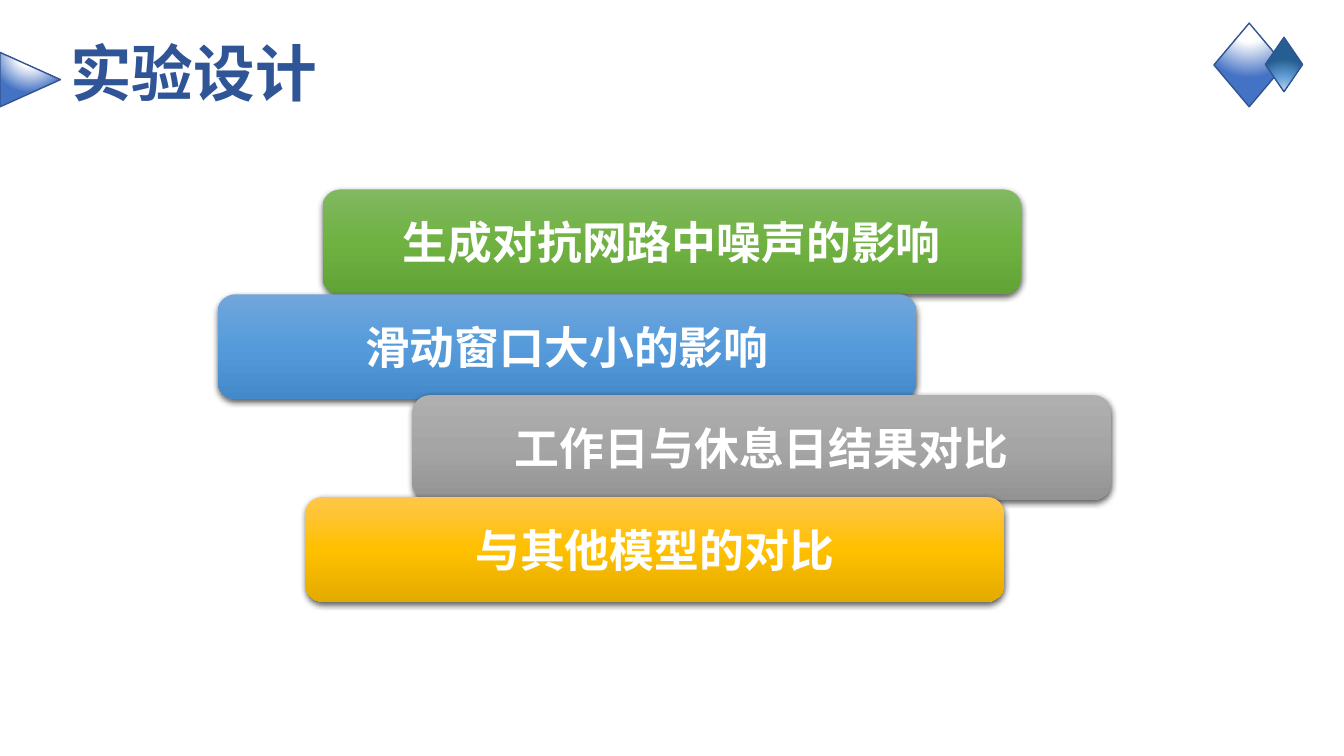
"""Build the experiment design slide with four staggered topic bars."""
from lxml import etree
from pptx import Presentation
from pptx.dml.color import RGBColor
from pptx.enum.shapes import MSO_SHAPE
from pptx.enum.text import MSO_ANCHOR, PP_ALIGN
from pptx.oxml import parse_xml
from pptx.oxml.ns import qn
from pptx.util import Inches, Pt

BAR = MSO_SHAPE.ROUNDED_RECTANGLE
TRIANGLE = MSO_SHAPE.ISOSCELES_TRIANGLE
DIAMOND = MSO_SHAPE.FLOWCHART_DECISION
MIDDLE = MSO_ANCHOR.MIDDLE
LEFT, CENTER = PP_ALIGN.LEFT, PP_ALIGN.CENTER
FONT = "Noto Sans CJK SC"
NS = 'xmlns:a="http://schemas.openxmlformats.org/drawingml/2006/main"'
LINEAR = '<a:lin ang="5400000" scaled="0"/>'
RADIAL = '<a:path path="circle"><a:fillToRect l="50000" t="{}" r="50000" b="{}"/></a:path>'


def write(holder, text, size, color, align=CENTER, spacing=None):
    frame = holder.text_frame
    frame.word_wrap = True
    frame.vertical_anchor = MIDDLE
    paragraph = frame.paragraphs[0]
    paragraph.alignment = align
    paragraph.line_spacing = spacing
    run = paragraph.add_run()
    run.text = text
    run.font.size = Pt(size)
    run.font.bold = True
    run.font.name = FONT
    run.font.color.rgb = RGBColor.from_string(color)
    etree.SubElement(run.font._element, qn("a:ea")).set("typeface", FONT)


def add_gradient_shape(kind, place, stops, direction, outline=None):
    shape = slide.shapes.add_shape(kind, *map(Inches, place))
    shape.shadow.inherit = False
    if outline:
        shape.line.color.rgb = RGBColor.from_string(outline)
        shape.line.width = Pt(1)
    else:
        shape.line.fill.background()
    colors = "".join(
        f'<a:gs pos="{position * 1000}"><a:srgbClr val="{color}"/></a:gs>'
        for position, color in stops
    )
    gradient = f'<a:gradFill {NS} rotWithShape="1"><a:gsLst>{colors}</a:gsLst>{direction}</a:gradFill>'
    shape._element.spPr.find(qn("a:prstGeom")).addnext(parse_xml(gradient))
    return shape


prs = Presentation()
prs.slide_width = Inches(13.33)
prs.slide_height = Inches(7.5)
slide = prs.slides.add_slide(prs.slide_layouts[6])

topics = [
    ("生成对抗网路中噪声的影响", 3.2, 1.88, ("81B861", "6FB242", "62A336")),
    ("滑动窗口大小的影响", 2.16, 2.92, ("71A6DB", "559BDB", "448ACA")),
    ("工作日与休息日结果对比", 4.09, 3.92, ("AFAFAF", "A5A5A5", "939393")),
    ("与其他模型的对比", 3.03, 4.93, ("FFC64B", "FFC000", "E3AB00")),
]
for topic, left, top, colors in topics:
    bar = add_gradient_shape(BAR, (left, top, 6.93, 1.04), zip((0, 50, 100), colors), LINEAR)
    bar._element.spPr.find(qn("a:effectLst")).append(parse_xml(
        f'<a:outerShdw {NS} blurRad="{Pt(4.5)}" dist="{Pt(1.5)}" dir="5400000" algn="ctr" '
        'rotWithShape="0"><a:srgbClr val="000000"><a:alpha val="63000"/></a:srgbClr></a:outerShdw>'
    ))
    write(bar, topic, 32, "FFFFFF")

title = slide.shapes.add_textbox(Inches(0.6), Inches(0.41), Inches(2.7), Inches(0.69))
write(title, "实验设计", 44, "2F5597", align=LEFT, spacing=0.9)

white_to_blue = [(0, "FFFFFF"), (35, "FFFFFF"), (100, "4472C4")]
pale_to_navy = [(0, "BDD7EE"), (46, "63A0D7"), (100, "255E91")]
from_above = RADIAL.format(-80000, 180000)
from_below = RADIAL.format(130000, -30000)
ornaments = [
    (TRIANGLE, (0.03, 0.49, 0.54, 0.6), white_to_blue, from_above, 90),
    (DIAMOND, (12.04, 0.23, 0.7, 0.83), white_to_blue, from_above, 0),
    (DIAMOND, (12.55, 0.37, 0.37, 0.54), pale_to_navy, from_below, 0),
]
for kind, place, stops, direction, angle in ornaments:
    ornament = add_gradient_shape(kind, place, stops, direction, outline="325491")
    ornament.rotation = angle

prs.save("out.pptx")
